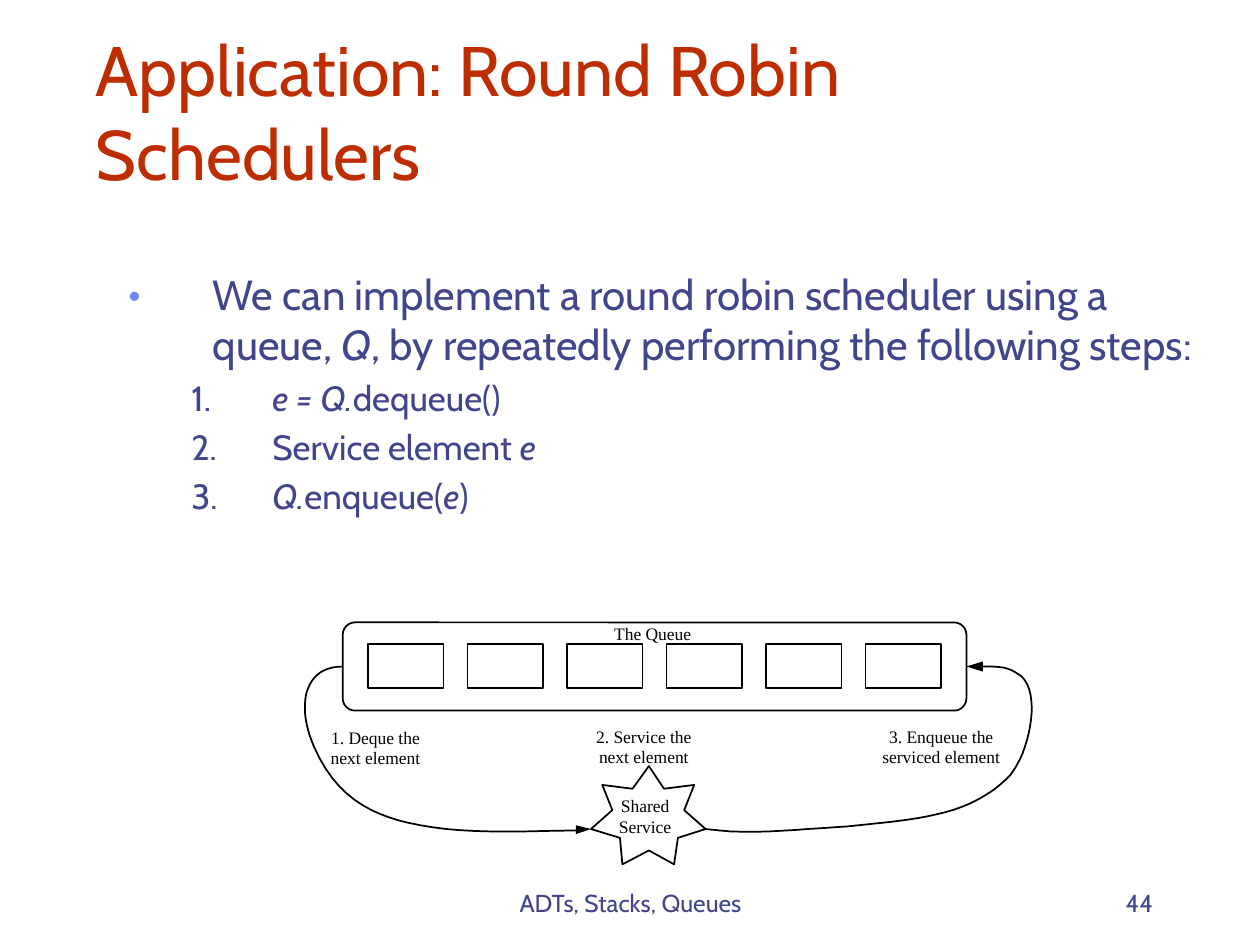
from lxml import etree
from pptx import Presentation
from pptx.dml.color import RGBColor
from pptx.enum.shapes import MSO_SHAPE
from pptx.enum.text import MSO_ANCHOR, MSO_AUTO_SIZE, PP_ALIGN
from pptx.oxml.ns import qn
from pptx.util import Inches, Pt

BLUE, RED, BULLET, BLACK, WHITE = "40458C", "BE2D00", "6F89F7", "000000", "FFFFFF"
TITLE = "Application: Round Robin Schedulers"
INTRO = [("We can implement a round robin scheduler using a queue, ", False), ("Q", True),
         (", by repeatedly performing the following steps:", False)]
STEPS = [
    [(" ", False), ("e = Q.", True), ("dequeue()", False)],
    [(" Service element ", False), ("e", True)],
    [(" ", False), ("Q.", True), ("enqueue(", False), ("e", True), (")", False)],
]
LABELS = [
    (["The Queue"], 5.18, 4.95),
    (["Shared", "Service"], 5.12, 6.32),
    (["1. Deque the", "next element"], 2.98, 5.78),
    (["2. Service the", "next element"], 5.11, 5.77),
    (["3. Enqueue the", "serviced element"], 7.47, 5.77),
]
STAR = [(5.02, 6.26), (4.78, 6.23), (4.86, 6.43), (4.69, 6.58), (4.92, 6.65),
        (4.94, 6.86), (5.15, 6.75), (5.35, 6.86), (5.38, 6.65), (5.6, 6.58),
        (5.43, 6.43), (5.51, 6.23), (5.27, 6.26), (5.15, 6.08)]
DEQUEUE_PATH = [(2.72, 5.29),
                (2.53, 5.29), (2.46, 5.4), (2.43, 5.51),
                (2.4, 5.66), (2.44, 5.8), (2.49, 5.92),
                (2.66, 6.32), (2.94, 6.46), (3.24, 6.53),
                (3.63, 6.62), (4.05, 6.6), (4.58, 6.59)]
ENQUEUE_PATH = [(5.6, 6.58),
                (5.79, 6.6), (5.81, 6.6), (5.83, 6.6),
                (6.11, 6.61), (6.38, 6.58), (6.72, 6.56),
                (6.99, 6.53), (7.3, 6.51), (7.56, 6.43),
                (7.75, 6.37), (7.91, 6.27), (8.02, 6.15),
                (8.07, 6.08), (8.11, 6.01), (8.14, 5.91),
                (8.2, 5.73), (8.22, 5.48), (8.11, 5.37),
                (8.07, 5.34), (8.02, 5.31), (7.97, 5.3),
                (7.92, 5.29), (7.86, 5.29), (7.78, 5.29)]
DEQUEUE_HEAD = [(4.57, 6.55), (4.69, 6.58), (4.57, 6.62)]
ENQUEUE_HEAD = [(7.8, 5.33), (7.67, 5.29), (7.8, 5.25)]
ARROWS = [(DEQUEUE_PATH, DEQUEUE_HEAD), (ENQUEUE_PATH, ENQUEUE_HEAD)]
SLOT_COUNT, SLOT_LEFT, SLOT_PITCH = 6, 2.92, 0.79
UNITS = 1000


def color(value):
    return RGBColor.from_string(value)


def place(shape, left, top, width, height):
    shape.left, shape.top = Inches(left), Inches(top)
    shape.width, shape.height = Inches(width), Inches(height)


def add_runs(paragraph, runs, size, fill=BLUE, font="Cabin"):
    for text, italic in [(runs, False)] if isinstance(runs, str) else runs:
        run = paragraph.add_run()
        run.text = text
        run.font.name, run.font.size, run.font.italic = font, Pt(size), italic
        run.font.color.rgb = color(fill)


def write(shape, paragraphs, size, align=PP_ALIGN.LEFT, anchor=MSO_ANCHOR.TOP,
          inset=None, spacing=None, **style):
    frame = shape.text_frame
    frame.word_wrap, frame.auto_size = True, MSO_AUTO_SIZE.NONE
    frame.vertical_anchor = anchor
    if inset is not None:
        frame.margin_left = frame.margin_right = Inches(inset)
        frame.margin_top = frame.margin_bottom = Inches(inset)
    for index, runs in enumerate(paragraphs):
        paragraph = frame.paragraphs[0] if index == 0 else frame.add_paragraph()
        paragraph.alignment = align
        if spacing:
            paragraph.line_spacing = Pt(spacing)
        add_runs(paragraph, runs, size, **style)
    return frame


def add_text(slide, box, paragraphs, size, **style):
    return write(slide.shapes.add_textbox(*map(Inches, box)), paragraphs, size, **style)


def set_bullet(paragraph, margin, hanging, fill, tag, **attributes):
    properties = paragraph._p.get_or_add_pPr()
    properties.set("marL", str(Inches(margin)))
    properties.set("indent", str(-Inches(hanging)))
    bullet_color = etree.SubElement(properties, qn("a:buClr"))
    etree.SubElement(bullet_color, qn("a:srgbClr"), val=fill)
    etree.SubElement(properties, qn("a:buFont"), typeface="Cabin")
    etree.SubElement(properties, qn(tag), **attributes)


def outline(shape, fill=WHITE):
    shape.shadow.inherit = False
    if fill:
        shape.fill.solid()
        shape.fill.fore_color.rgb = color(fill)
    else:
        shape.fill.background()
    shape.line.color.rgb = color(BLACK)
    shape.line.width = Pt(1)
    return shape


def add_box(slide, kind, *box):
    return outline(slide.shapes.add_shape(kind, *map(Inches, box)))


def add_path(slide, points, close=True, fill=WHITE):
    scaled = [(x * UNITS, y * UNITS) for x, y in points]
    builder = slide.shapes.build_freeform(*scaled[0], scale=Inches(1) / UNITS)
    builder.add_line_segments(scaled[1:], close=close)
    return outline(builder.convert_to_shape(), fill)


def flatten(points, steps=12):
    result = [points[0]]
    for first in range(0, len(points) - 1, 3):
        a, b, c, d = points[first:first + 4]
        for step in range(1, steps + 1):
            t = step / steps
            u = 1 - t
            result.append(tuple(
                u**3 * a[k] + 3 * u * u * t * b[k] + 3 * u * t * t * c[k] + t**3 * d[k]
                for k in (0, 1)))
    return result


presentation = Presentation()
presentation.slide_width, presentation.slide_height = Inches(10), Inches(7.5)
slide = presentation.slides.add_slide(presentation.slide_layouts[5])

title = slide.shapes.title
place(title, 0.66, 0.34, 8.5, 1.25)
write(title, [TITLE], 40, fill=RED, anchor=MSO_ANCHOR.BOTTOM)

body = add_text(slide, (0.92, 2.08, 8.75, 2.2), [INTRO], 24)
body.paragraphs[0].space_before = Pt(4.8)
set_bullet(body.paragraphs[0], 0.67, 0.67, BULLET, "a:buChar", char="•")
for step in STEPS:
    paragraph = body.add_paragraph()
    paragraph.level, paragraph.space_before = 1, Pt(4)
    add_runs(paragraph, step, 20)
    set_bullet(paragraph, 1.08, 0.58, BLUE, "a:buAutoNum", type="arabicPeriod")

queue = add_box(slide, MSO_SHAPE.ROUNDED_RECTANGLE, 2.72, 4.94, 4.95, 0.7)
queue.adjustments[0] = 0.14
for slot in range(SLOT_COUNT):
    add_box(slide, MSO_SHAPE.RECTANGLE, SLOT_LEFT + slot * SLOT_PITCH, 5.11, 0.6, 0.35)
add_path(slide, STAR)
for curve, head in ARROWS:
    add_path(slide, flatten(curve), close=False, fill=None)
    add_path(slide, head, fill=BLACK).line.fill.background()
for lines, center, top in LABELS:
    add_text(slide, (center - 0.6, top, 1.2, 0.17 * len(lines)), lines, 10, fill=BLACK,
             font="Times New Roman", align=PP_ALIGN.CENTER, inset=0, spacing=11.5)

add_text(slide, (3.42, 6.83, 3.17, 0.5), ["ADTs, Stacks, Queues"], 14,
         align=PP_ALIGN.CENTER, anchor=MSO_ANCHOR.BOTTOM)
add_text(slide, (7.17, 6.83, 2.08, 0.5), ["44"], 14,
         align=PP_ALIGN.RIGHT, anchor=MSO_ANCHOR.BOTTOM)

presentation.save("out.pptx")
